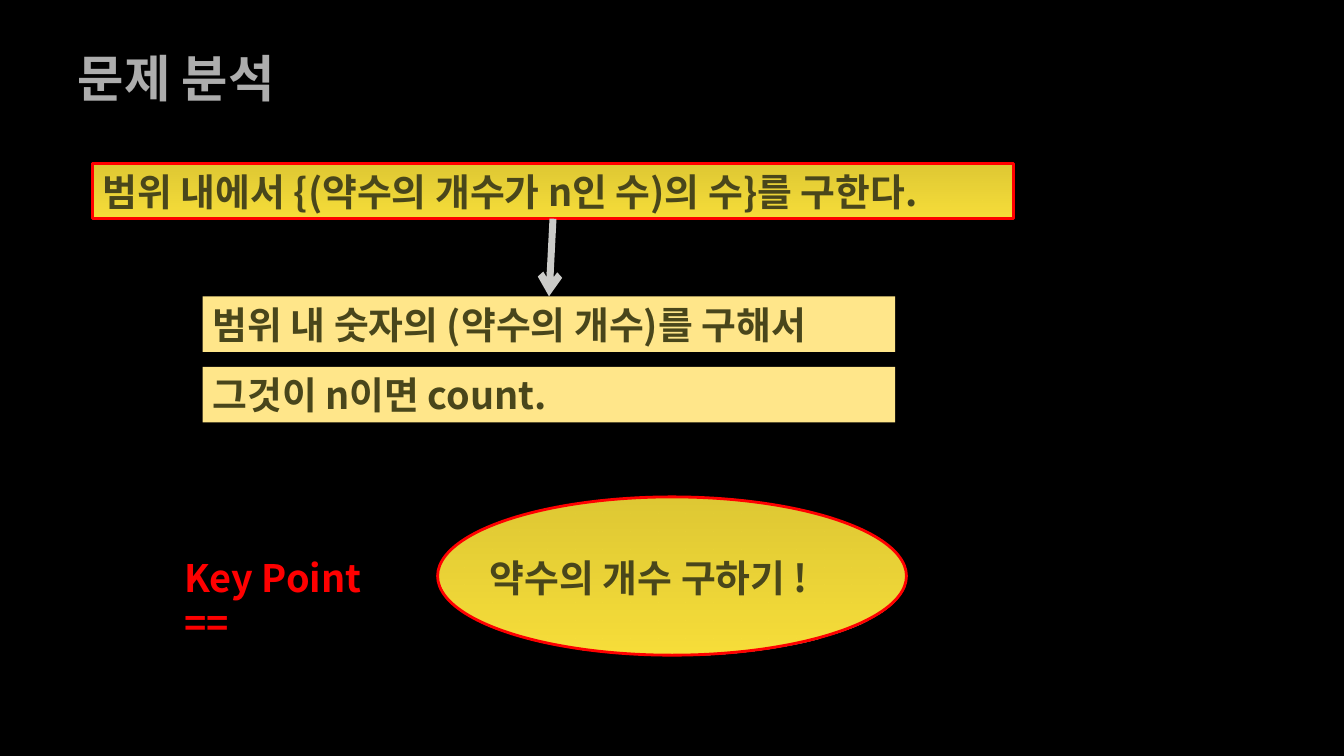
from dataclasses import dataclass
from typing import Optional

from lxml.etree import SubElement
from pptx import Presentation
from pptx.dml.color import RGBColor
from pptx.enum.shapes import MSO_CONNECTOR, MSO_SHAPE
from pptx.enum.text import MSO_ANCHOR, PP_ALIGN
from pptx.oxml.ns import qn
from pptx.util import Inches, Pt


@dataclass(frozen=True)
class Theme:
    font: str = "Noto Sans CJK KR"
    title_size: int = 36
    body_size: int = 27
    background: str = "000000"
    title: str = "ADADAD"
    ink: str = "49461B"
    accent: str = "FF0000"
    highlight: str = "F9E03B"
    step: str = "FFE68A"
    arrow: str = "CBCBC8"
    outline_width: int = 2
    arrow_width: int = 5


THEME = Theme()


@dataclass(frozen=True)
class Panel:
    """A preset shape; highlighted ones get a gradient and a red outline."""
    left: float
    top: float
    width: float
    height: float
    text: str = ""
    kind: MSO_SHAPE = MSO_SHAPE.RECTANGLE
    highlighted: bool = False
    right_margin: float = 0.1


@dataclass(frozen=True)
class Label:
    left: float
    top: float
    width: float
    height: float
    text: str
    color: str
    left_margin: float = 0.1


GOAL = Panel(0.92, 1.62, 9.13, 0.55, "범위 내에서 {(약수의 개수가 n인 수)의 수}를 구한다.",
             highlighted=True, right_margin=0)
STEPS = [Panel(2.01, 2.94 + row * 0.7, 6.87, 0.55, text) for row, text in enumerate(
    ["범위 내 숫자의 (약수의 개수)를 구해서", "그것이 n이면 count."])]
KEY_OVAL = Panel(4.34, 4.93, 4.65, 1.57, kind=MSO_SHAPE.OVAL, highlighted=True)
KEY_TEXT = Label(4.66, 5.45, 4.33, 0.55, "약수의 개수 구하기 !", THEME.ink, 0.2)
KEY_POINT = Label(1.73, 5.45, 2.46, 0.55, "Key Point ==", THEME.accent)


def rgb(color: str) -> RGBColor:
    return RGBColor.from_string(color)


def bounds(item) -> list:
    return [Inches(v) for v in (item.left, item.top, item.width, item.height)]


def write(box, text: str, color: str, size: int = THEME.body_size, **frame_format) -> None:
    frame = box.text_frame
    layout = {"word_wrap": True, "vertical_anchor": MSO_ANCHOR.TOP, **frame_format}
    for name, value in layout.items():
        setattr(frame, name, value)
    para = frame.paragraphs[0]
    para.alignment = PP_ALIGN.LEFT
    span = para.add_run()
    span.text = text
    for name, value in {"name": THEME.font, "size": Pt(size), "bold": True}.items():
        setattr(span.font, name, value)
    span.font.color.rgb = rgb(color)
    SubElement(span._r.get_or_add_rPr(), qn("a:ea"), typeface=THEME.font)


def fill_highlight(box) -> None:
    """Fade from 90% opacity at the top to full opacity at the bottom."""
    box.fill.gradient()
    box.fill.gradient_angle = 270
    for stop, position in zip(box.fill.gradient_stops, (0, 1)):
        stop.color.rgb = rgb(THEME.highlight)
        stop.position = position
    first_color = next(box._element.spPr.iter(qn("a:srgbClr")))
    SubElement(first_color, qn("a:alpha"), val="90000")
    box.line.color.rgb = rgb(THEME.accent)
    box.line.width = Pt(THEME.outline_width)


def add_panel(shapes, panel: Panel):
    box = shapes.add_shape(panel.kind, *bounds(panel))
    box.shadow.inherit = False
    if panel.highlighted:
        fill_highlight(box)
    else:
        box.fill.solid()
        box.fill.fore_color.rgb = rgb(THEME.step)
        box.line.fill.background()
    if panel.text:
        write(box, panel.text, THEME.ink, margin_right=Inches(panel.right_margin))
    return box


def add_label(shapes, label: Label) -> None:
    write(shapes.add_textbox(*bounds(label)), label.text, label.color,
          margin_left=Inches(label.left_margin))


def add_arrow(shapes, start, end) -> None:
    arrow = shapes.add_connector(MSO_CONNECTOR.STRAIGHT, 0, 0, 0, 0)
    arrow.begin_connect(start, 2)
    arrow.end_connect(end, 0)
    arrow.line.color.rgb = rgb(THEME.arrow)
    arrow.line.width = Pt(THEME.arrow_width)
    SubElement(arrow.line._get_or_add_ln(), qn("a:tailEnd"), type="arrow")
    SubElement(arrow._element.spPr, qn("a:effectLst"))


def add_title(page, text: str) -> None:
    title = page.shapes.title
    position: Optional[dict] = dict(zip(
        ("left", "top", "width", "height"), map(Inches, (0.67, 0.3, 12, 0.94))))
    for name, value in position.items():
        setattr(title, name, value)
    write(title, text, THEME.title, THEME.title_size, vertical_anchor=MSO_ANCHOR.MIDDLE)


def main() -> None:
    deck = Presentation()
    deck.slide_width, deck.slide_height = Inches(13.33), Inches(7.5)
    page = deck.slides.add_slide(deck.slide_layouts[5])
    page.background.fill.solid()
    page.background.fill.fore_color.rgb = rgb(THEME.background)

    add_title(page, "문제 분석")
    goal = add_panel(page.shapes, GOAL)
    steps = [add_panel(page.shapes, step) for step in STEPS]
    add_arrow(page.shapes, goal, steps[0])
    key_group = page.shapes.add_group_shape()
    add_panel(key_group.shapes, KEY_OVAL)
    add_label(key_group.shapes, KEY_TEXT)
    add_label(page.shapes, KEY_POINT)
    deck.save("out.pptx")


if __name__ == "__main__":
    main()
